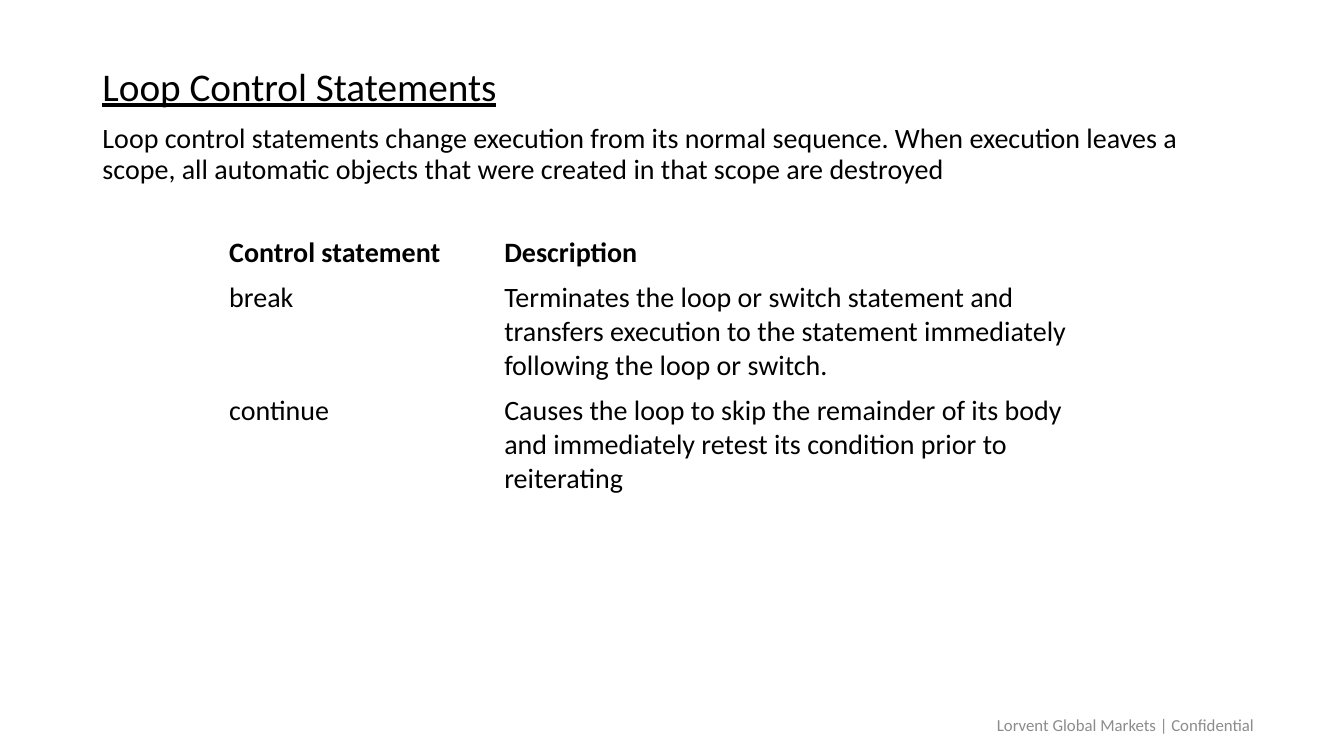
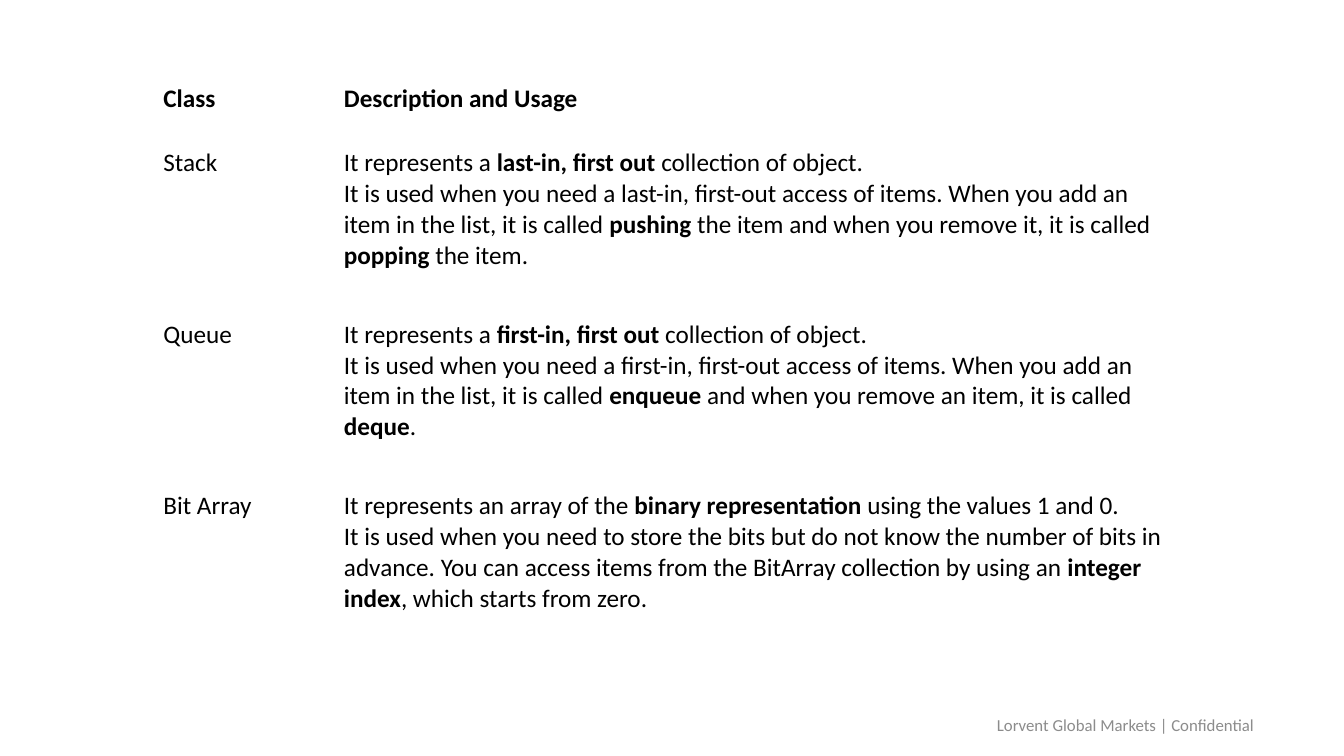
"""Build two slides on loop control statements and collection classes."""
from pptx import Presentation
from pptx.dml.color import RGBColor
from pptx.enum.text import MSO_ANCHOR, MSO_AUTO_SIZE, PP_ALIGN
from pptx.util import Pt
from lxml.etree import SubElement
from pptx.oxml.ns import qn

BLACK = RGBColor(0x00, 0x00, 0x00)
GRAY = RGBColor(0x8C, 0x8C, 0x8C)
FONT = "Calibri"
FOOTER = "Lorvent Global Markets | Confidential"


def write(tf, text, size, color=BLACK, bold=False):
    """Write one paragraph per line; ** switches bold on and off."""
    for i, line in enumerate(text.split("\n")):
        p = tf.paragraphs[0] if i == 0 else tf.add_paragraph()
        for j, part in enumerate(line.split("**")):
            if part:
                r = p.add_run()
                r.text = part
                r.font.name = FONT
                r.font.size = Pt(size)
                r.font.bold = bold or j % 2 == 1
                r.font.color.rgb = color


def add_grid(s, left, top, widths, heights, rows, size):
    """Add a plain table with a bold first row."""
    tbl = s.shapes.add_table(len(rows), len(widths), Pt(left), Pt(top),
                             Pt(sum(widths)), Pt(sum(heights))).table
    tbl.horz_banding = False
    for col, width in zip(tbl.columns, widths):
        col.width = Pt(width)
    for i, (row, height) in enumerate(zip(rows, heights)):
        tbl.rows[i].height = Pt(height)
        for j, text in enumerate(row):
            cell = tbl.cell(i, j)
            cell.fill.background()
            write(cell.text_frame, text, size, bold=i == 0)


prs = Presentation()
prs.slide_width, prs.slide_height = Pt(960), Pt(540)

s = prs.slides.add_slide(prs.slide_layouts[1])
heading, body = s.placeholders
texts = [
    (heading, 44.6, 38, 28, "Loop Control Statements"),
    (body, 85.4, 60, 20,
     "Loop control statements change execution from its normal sequence. "
     "When execution leaves a scope, all automatic objects that were created "
     "in that scope are destroyed"),
]
for sp, top, height, size, text in texts:
    sp.left, sp.top, sp.width, sp.height = Pt(66), Pt(top), Pt(828), Pt(height)
    tf = sp.text_frame
    tf.auto_size = MSO_AUTO_SIZE.NONE
    tf.vertical_anchor = MSO_ANCHOR.TOP
    write(tf, text, size)
    p = tf.paragraphs[0]
    p.alignment = PP_ALIGN.LEFT
    p.line_spacing = 0.9
    p.space_before = Pt(0)
    pPr = p._p.get_or_add_pPr()
    pPr.set("marL", "0")
    pPr.set("indent", "0")
    SubElement(pPr, qn("a:buNone"))
heading.text_frame.paragraphs[0].runs[0].font.underline = True

add_grid(s, 156.5, 165, [196.5, 443.5], [29.5] * 3, [
    ("Control statement", "Description"),
    ("break",
     "Terminates the loop or switch statement and transfers execution to "
     "the statement immediately following the loop or switch."),
    ("continue",
     "Causes the loop to skip the remainder of its body and immediately "
     "retest its condition prior to reiterating"),
], 20)

s = prs.slides.add_slide(prs.slide_layouts[6])
add_grid(s, 109.5, 56, [129, 610.5], [46, 122.5, 122.5, 168.5], [
    ("Class", "Description and Usage"),
    ("Stack",
     "It represents a **last-in, first out** collection of object.\n"
     "It is used when you need a last-in, first-out access of items. "
     "When you add an item in the list, it is called **pushing** the item "
     "and when you remove it, it is called **popping** the item."),
    ("Queue",
     "It represents a **first-in, first out** collection of object.\n"
     "It is used when you need a first-in, first-out access of items. "
     "When you add an item in the list, it is called **enqueue** and when "
     "you remove an item, it is called **deque**."),
    ("Bit Array",
     "It represents an array of the **binary representation** using the "
     "values 1 and 0.\n"
     "It is used when you need to store the bits but do not know the number "
     "of bits in advance. You can access items from the BitArray collection "
     "by using an **integer index**, which starts from zero."),
], 18)

for s in prs.slides:
    tf = s.shapes.add_textbox(Pt(701.5), Pt(503.5), Pt(205), Pt(29)).text_frame
    tf.word_wrap = True
    tf.vertical_anchor = MSO_ANCHOR.MIDDLE
    write(tf, FOOTER, 12, GRAY)
    tf.paragraphs[0].alignment = PP_ALIGN.CENTER

prs.save("out.pptx")
